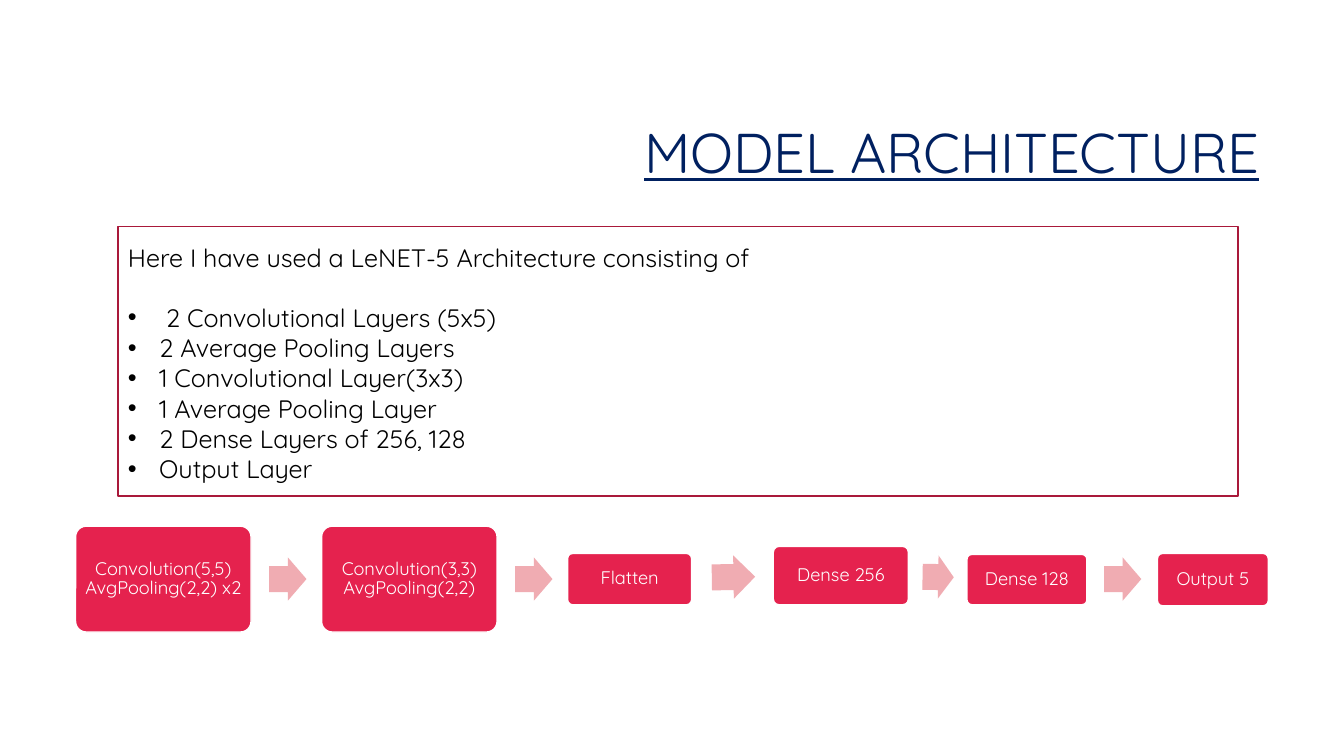
from pptx import Presentation
from pptx.dml.color import RGBColor
from pptx.enum.shapes import MSO_SHAPE as Shape
from pptx.enum.text import MSO_ANCHOR as Anchor, PP_ALIGN as Align
from pptx.oxml import parse_xml
from pptx.oxml.ns import nsdecls
from pptx.util import Inches, Pt

FONT = "Quicksand"
LAYERS = [
    " 2 Convolutional Layers (5x5)",
    "2 Average Pooling Layers",
    "1 Convolutional Layer(3x3)",
    "1 Average Pooling Layer",
    "2 Dense Layers of 256, 128",
    "Output Layer",
]
# Text, then left, top, width, height within the flow
NODES = [
    ("Convolution(5,5) AvgPooling(2,2) x2", 0, 0, 1.74, 1.05),
    ("Convolution(3,3) AvgPooling(2,2)", 2.44, 0, 1.74, 1.05),
    ("Flatten", 4.88, 0.27, 1.23, 0.51),
    ("Dense 256", 6.92, 0.2, 1.34, 0.58),
    ("Dense 128", 8.84, 0.28, 1.19, 0.5),
    ("Output 5", 10.73, 0.27, 1.1, 0.52),
]
# Left, top, width, rotation within the flow
ARROWS = [
    (1.92, 0.31, 0.37, 0),
    (4.36, 0.31, 0.37, 0),
    (6.31, 0.29, 0.43, -0.9),
    (8.4, 0.29, 0.31, 1),
    (10.2, 0.31, 0.37, 0),
]


def color(code):
    return RGBColor.from_string(code)


def style(para, text, size, code):
    para.text = text
    para.font.name = FONT
    para.font.size = Pt(size)
    para.font.color.rgb = color(code)


def draw(slide, kind, box, fill=None, line=None):
    shape = slide.shapes.add_shape(kind, *map(Inches, box))
    shape.shadow.inherit = False
    if fill:
        shape.fill.solid()
        shape.fill.fore_color.rgb = color(fill)
    else:
        shape.fill.background()
    if line:
        shape.line.color.rgb = color(line)
        shape.line.width = Pt(1)
    else:
        shape.line.fill.background()
    return shape


def add_text(slide, box):
    frame = slide.shapes.add_textbox(*map(Inches, box)).text_frame
    frame.word_wrap = True
    return frame


def add_title(slide, box):
    frame = add_text(slide, box)
    frame.vertical_anchor = Anchor.MIDDLE
    para = frame.paragraphs[0]
    style(para, "MODEL ARCHITECTURE", 40, "002060")
    para.font.underline = True
    para.alignment = Align.RIGHT
    para.line_spacing = 0.9


def add_list(slide, box):
    left, top, width, height = box
    draw(slide, Shape.RECTANGLE, box, line="A9193A")
    frame = add_text(slide, (left, top + 0.1, width, height - 0.1))
    intro = frame.paragraphs[0]
    style(intro, "Here I have used a LeNET-5 Architecture consisting of",
          18, "000000")
    intro.space_after = Pt(21.5)
    for layer in LAYERS:
        para = frame.add_paragraph()
        style(para, layer, 18, "000000")
        # Hanging bullet
        props = para._p.get_or_add_pPr()
        props.set("marL", str(Inches(0.31)))
        props.set("indent", str(-Inches(0.31)))
        props.append(parse_xml(
            f'<a:buFont {nsdecls("a")} typeface="Arial"/>'))
        props.append(parse_xml(f'<a:buChar {nsdecls("a")} char="•"/>'))


def add_flow(slide, left, top):
    # Layer boxes
    for text, x, y, width, height in NODES:
        node = draw(slide, Shape.ROUNDED_RECTANGLE,
                    (left + x, top + y, width, height), "E5224E", "FFFFFF")
        node.adjustments[0] = 0.1
        frame = node.text_frame
        frame.word_wrap = True
        frame.vertical_anchor = Anchor.MIDDLE
        frame.margin_left = frame.margin_right = Inches(0.06)
        frame.margin_top = frame.margin_bottom = Inches(0.06)
        para = frame.paragraphs[0]
        style(para, text, 13, "FFFFFF")
        para.alignment = Align.CENTER
        para.line_spacing = 0.9
    # Arrows between them
    for x, y, width, turn in ARROWS:
        arrow = draw(slide, Shape.RIGHT_ARROW,
                     (left + x, top + y, width, 0.43), "F0ACB2")
        arrow.adjustments[0] = 0.6
        arrow.adjustments[1] = 0.5
        arrow.rotation = turn


def main():
    deck = Presentation()
    deck.slide_width = Inches(13.33)
    deck.slide_height = Inches(7.5)
    slide = deck.slides.add_slide(deck.slide_layouts[6])
    add_title(slide, (3.17, 0.84, 9.42, 1.41))
    add_list(slide, (1.17, 2.25, 11.11, 2.67))
    add_flow(slide, 0.75, 5.22)
    deck.save("out.pptx")


if __name__ == "__main__":
    main()
